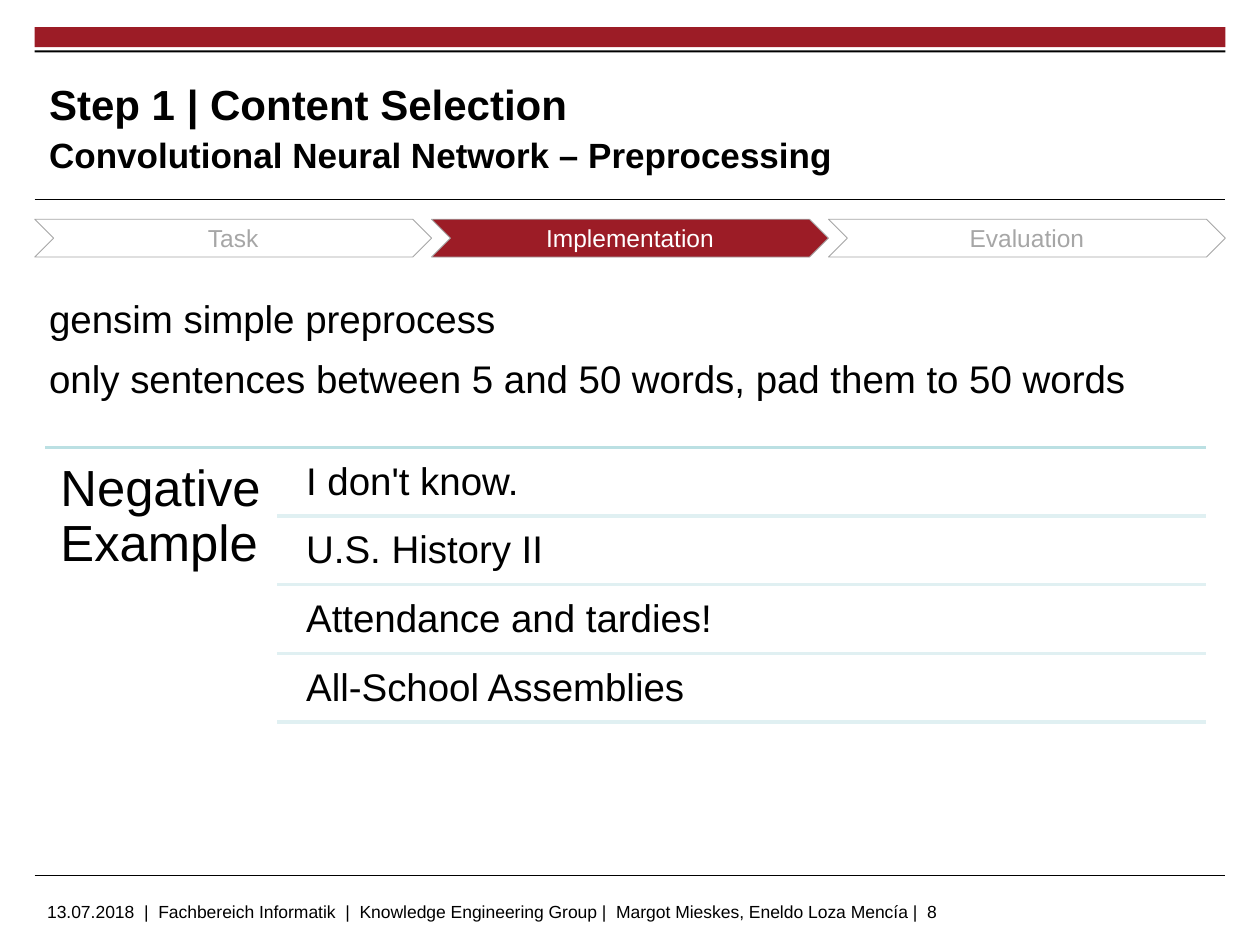
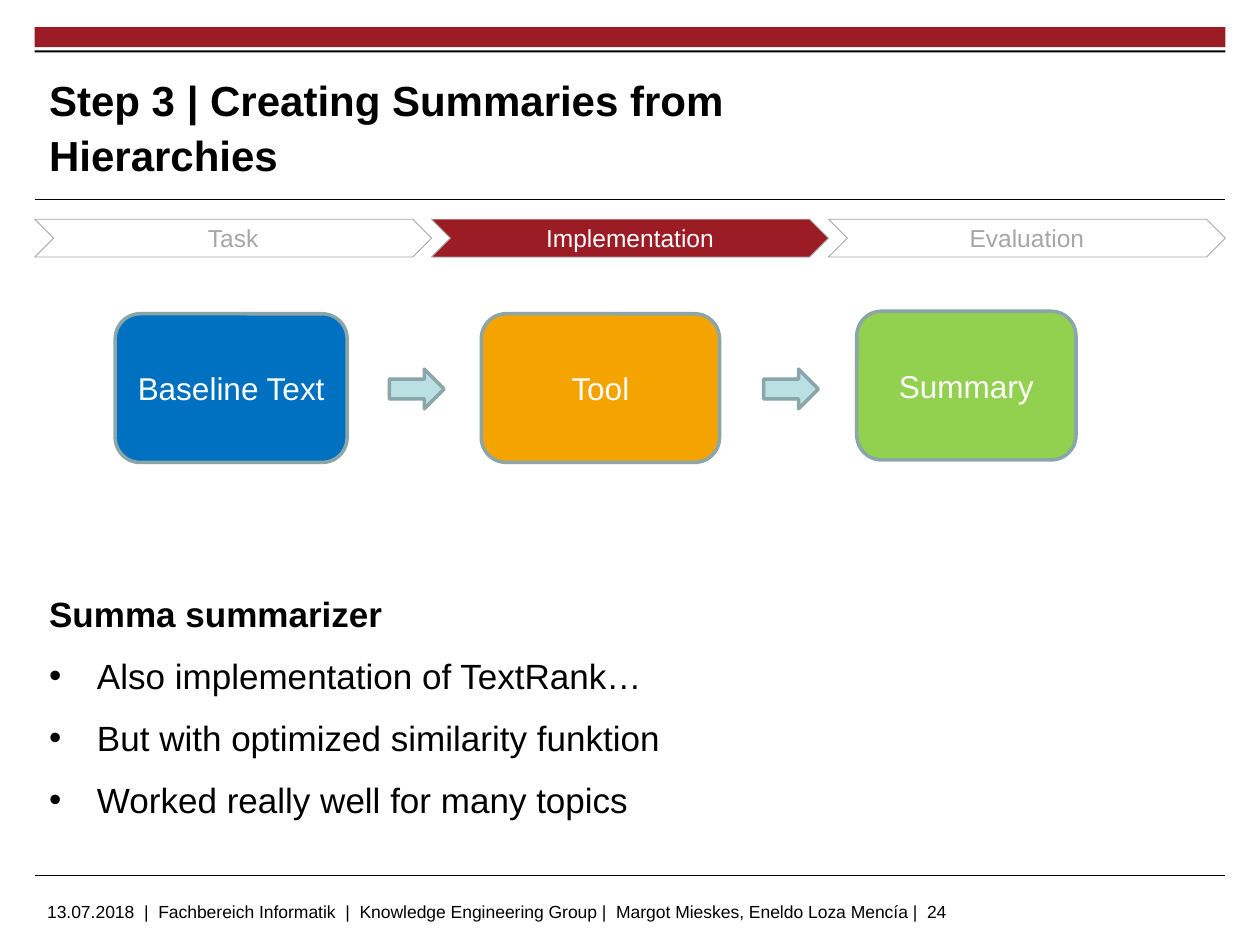
from dataclasses import dataclass

from lxml.etree import SubElement
from pptx import Presentation
from pptx.dml.color import RGBColor
from pptx.enum.shapes import MSO_CONNECTOR, MSO_SHAPE
from pptx.enum.text import MSO_ANCHOR, PP_ALIGN
from pptx.oxml.ns import qn
from pptx.util import Inches, Pt


@dataclass(frozen=True)
class Theme:
    font: str = "Arial"
    black: str = "000000"
    white: str = "FFFFFF"
    red: str = "9C1C26"
    grey: str = "A6A6A6"
    teal: str = "BBE0E3"
    pale_teal: str = "E0F0F2"
    outline: str = "8AA6A8"
    blue: str = "0070C0"
    orange: str = "F5A300"
    green: str = "92D050"
    title: int = 24
    subtitle: int = 20
    heading: int = 29
    body: int = 22
    bullet: int = 20
    box: int = 18
    step: int = 14
    footer: int = 10
    hairline: float = 0.6
    thin: float = 0.5
    thick: float = 2


FOOTER = ("13.07.2018  |  Fachbereich Informatik  |  Knowledge Engineering Group |  "
          "Margot Mieskes, Eneldo Loza Mencía |  {}")
STEPS = ("Task", "Implementation", "Evaluation")


class Deck:
    COLS, ROWS = 100, 75

    def __init__(self, theme):
        self.t = theme
        self.prs = Presentation()
        self.prs.slide_width, self.prs.slide_height = Inches(10), Inches(7.5)
        self.s = None

    def x(self, cols):
        return round(self.prs.slide_width * cols / self.COLS)

    def y(self, rows):
        return round(self.prs.slide_height * rows / self.ROWS)

    def frame(self, left, top, width, height):
        return self.x(left), self.y(top), self.x(width), self.y(height)

    def style(self, p, size, color, bold=False):
        for r in p.runs:
            r.font.name, r.font.size, r.font.bold = self.t.font, Pt(size), bold
            r.font.color.rgb = RGBColor.from_string(color)

    def shape(self, kind, at, fill, line=None, width=0, text="", size=0, color=""):
        sp = self.s.shapes.add_shape(kind, *self.frame(*at))
        sp.shadow.inherit = False
        sp.fill.solid()
        sp.fill.fore_color.rgb = RGBColor.from_string(fill)
        if line:
            sp.line.color.rgb = RGBColor.from_string(line)
            sp.line.width = Pt(width)
        else:
            sp.line.fill.background()
        if text:
            tf = sp.text_frame
            tf.text = text
            tf.vertical_anchor = MSO_ANCHOR.MIDDLE
            tf.paragraphs[0].alignment = PP_ALIGN.CENTER
            self.style(tf.paragraphs[0], size, color)

    def rule(self, left, right, row, color, width):
        cx = self.s.shapes.add_connector(MSO_CONNECTOR.STRAIGHT, self.x(left), self.y(row),
                                         self.x(right), self.y(row))
        cx.line.color.rgb = RGBColor.from_string(color)
        cx.line.width = Pt(width)
        SubElement(cx._element.spPr, qn("a:effectLst"))

    def text(self, at, text, size, spacing=1.0, inset=(1, 0.5), bold=False, gaps=(0, 0)):
        sp = self.s.shapes.add_textbox(*self.frame(*at))
        tf = sp.text_frame
        tf.word_wrap = True
        tf.margin_left = tf.margin_right = self.x(inset[0])
        tf.margin_top = tf.margin_bottom = self.y(inset[1])
        tf.text = text
        for p in tf.paragraphs:
            p.line_spacing = spacing
            p.space_before, p.space_after = Pt(gaps[0]), Pt(gaps[1])
            self.style(p, size, self.t.black, bold)
        return tf

    def body(self, at, text, size):
        return self.text(at, text, size, 1.3, (0, 0.5), gaps=(2, 2.3))

    def bullet(self, p, indent=3.8):
        pPr = p._p.get_or_add_pPr()
        pPr.set("marL", str(self.x(indent)))
        pPr.set("indent", str(-self.x(indent)))
        SubElement(pPr, qn("a:buFont"), typeface=self.t.font)
        SubElement(pPr, qn("a:buChar"), char="•")

    def title(self, title, subtitle):
        text = f"{title}\v{subtitle}" if subtitle else title
        tf = self.text((3.9, 5.3, 72.6, 9.2), text, self.t.title, 1.1, (0, 0), bold=True)
        tf.vertical_anchor = MSO_ANCHOR.MIDDLE
        if subtitle:
            tf.paragraphs[0].runs[-1].font.size = Pt(self.t.subtitle)

    def steps(self, active):
        t, width = self.t, 31.5
        for i, name in enumerate(STEPS):
            fill, color = (t.red, t.white) if name == active else (t.white, t.grey)
            self.shape(MSO_SHAPE.CHEVRON, (2.75 + i * width, 17.4, width, 3), fill,
                       t.grey, t.thin, name, t.step, color)

    def slide(self, number, title, subtitle=""):
        t = self.t
        self.s = self.prs.slides.add_slide(self.prs.slide_layouts[6])
        for top, height, color in ((2.15, 1.6, t.red), (4, 0.16, t.black)):
            self.shape(MSO_SHAPE.RECTANGLE, (2.75, top, 94.5, height), color)
        for row in (15.85, 69.5):
            self.rule(2.75, 97.25, row, t.black, t.hairline)
        self.text((2.75, 71, 78.8, 2.5), FOOTER.format(number), t.footer)
        self.title(title, subtitle)
        self.steps("Implementation")

    def example_list(self, heading, examples):
        t, top, pitch = self.t, 35.5, 5.45
        self.rule(3.6, 95.7, top, t.teal, t.thick)
        self.text((3.6, top, 19, 22), heading, t.heading, 0.9, (1.2, 1.2))
        for i, example in enumerate(examples):
            row = top + i * pitch
            self.text((23.4, row + 0.25, 72.3, 5.2), example, t.body, 0.9, (0.9, 0.9))
            self.rule(22, 95.7, row + pitch, t.pale_teal, t.thick)

    def pipeline(self, boxes, arrows):
        t = self.t
        for name, left, top, width, fill in boxes:
            self.shape(MSO_SHAPE.ROUNDED_RECTANGLE, (left, top, width, 11.8), fill,
                       t.outline, t.thick, name, t.box, t.white)
        for left in arrows:
            self.shape(MSO_SHAPE.RIGHT_ARROW, (left, 29.3, 4.35, 3.15), t.teal,
                       t.outline, t.thick)


def preprocessing(d):
    d.slide(8, "Step 1 | Content Selection", "Convolutional Neural Network – Preprocessing")
    d.body((3.9, 21.8, 93.3, 11), "gensim simple preprocess\v"
           "only sentences between 5 and 50 words, pad them to 50 words", d.t.body)
    d.example_list("Negative Example", ("I don't know.", "U.S. History II",
                                        "Attendance and tardies!", "All-School Assemblies"))


def summaries(d):
    t = d.t
    d.slide(24, "Step 3 | Creating Summaries from Hierarchies")
    d.pipeline((("Baseline Text", 9.15, 24.9, 18.4, t.blue),
                ("Tool", 38.2, 24.9, 18.9, t.orange),
                ("Summary", 68, 24.7, 17.4, t.green)), (30.9, 60.6))
    tf = d.body((3.9, 45.5, 93.3, 21.2), "Summa summarizer\nAlso implementation of TextRank…\n"
                "But with optimized similarity funktion\nWorked really well for many topics",
                t.bullet)
    heading, *points = tf.paragraphs
    heading.runs[0].font.bold = True
    for p in points:
        d.bullet(p)


def main():
    d = Deck(Theme())
    preprocessing(d)
    summaries(d)
    d.prs.save("out.pptx")


if __name__ == "__main__":
    main()
